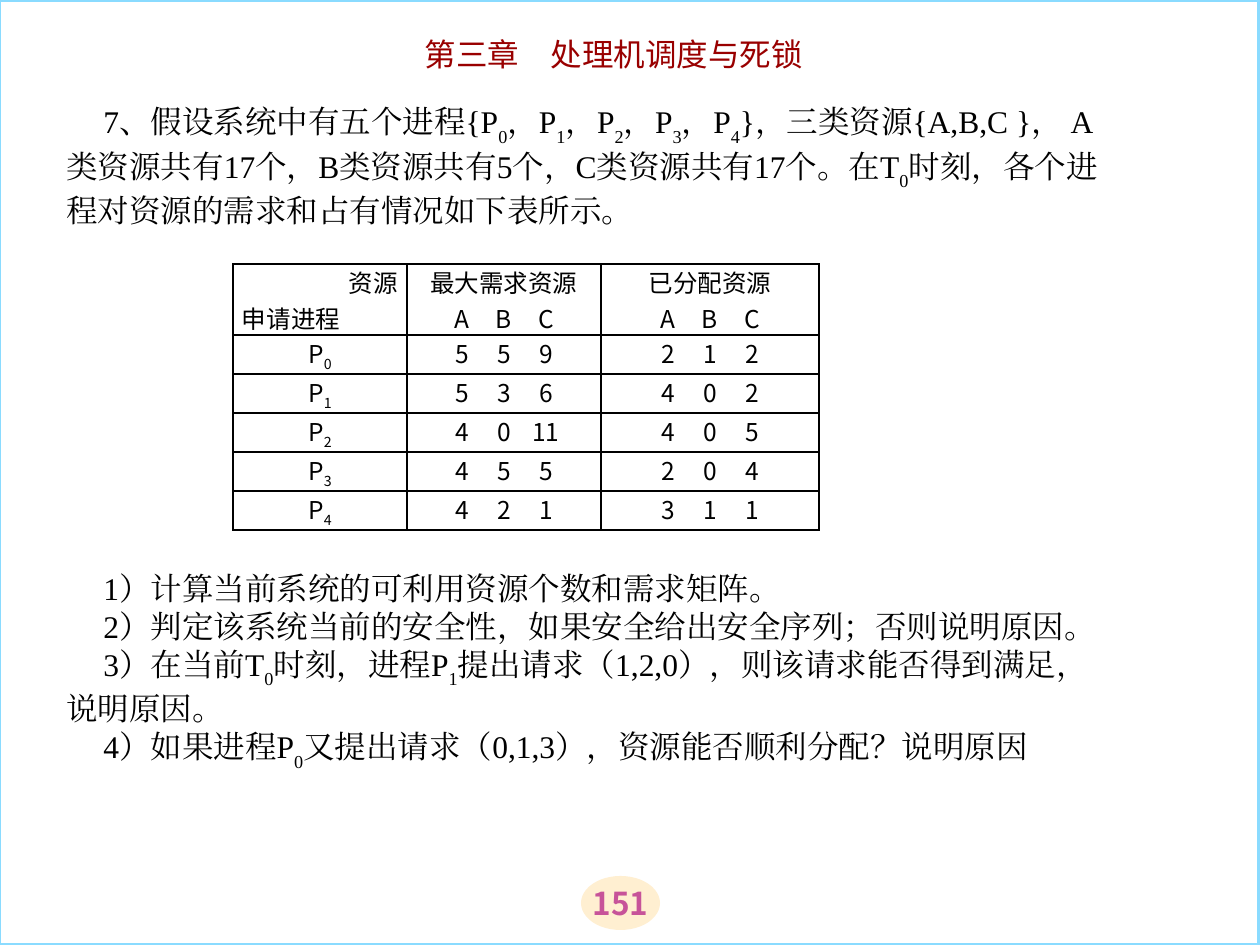
from dataclasses import dataclass

from lxml import etree
from pptx import Presentation
from pptx.dml.color import RGBColor
from pptx.enum.shapes import MSO_SHAPE
from pptx.enum.text import MSO_ANCHOR, PP_ALIGN
from pptx.oxml.ns import qn
from pptx.util import Pt

LEFT, CENTER, RIGHT = PP_ALIGN.LEFT, PP_ALIGN.CENTER, PP_ALIGN.RIGHT
TOP, MIDDLE = MSO_ANCHOR.TOP, MSO_ANCHOR.MIDDLE
OVAL, RECTANGLE = MSO_SHAPE.OVAL, MSO_SHAPE.RECTANGLE
PX_PER_INCH = 126


@dataclass(frozen=True)
class Style:
    font: str
    size: int
    color: str
    bold: bool = False
    subscript: int = -30


@dataclass(frozen=True)
class Theme:
    title: Style = Style("Noto Sans CJK JP", 18, "990000")
    body: Style = Style("Times New Roman", 18, "000000")
    table: Style = Style("Noto Sans CJK SC", 14, "000000", subscript=-25)
    number: Style = Style("Noto Sans CJK SC", 18, "C75399", bold=True)
    badge: str = "FFEFD1"
    frame: str = "8ADBFF"
    grid: str = "000000"


THEME = Theme()

INTRO = [
    "7、假设系统中有五个进程{P_0，P_1，P_2，P_3，P_4}，三类资源{A,B,C }， "
    "A类资源共有17个，B类资源共有5个，C类资源共有17个。"
    "在T_0时刻，各个进程对资源的需求和占有情况如下表所示。",
]
QUESTIONS = [
    "1）计算当前系统的可利用资源个数和需求矩阵。",
    "2）判定该系统当前的安全性，如果安全给出安全序列；否则说明原因。",
    "3）在当前T_0时刻，进程P_1提出请求（1,2,0），则该请求能否得到满足，说明原因。",
    "4）如果进程P_0又提出请求（0,1,3），资源能否顺利分配？说明原因",
]
MAX_NEED = [(5, 5, 9), (5, 3, 6), (4, 0, 11), (4, 5, 5), (4, 2, 1)]
ALLOCATED = [(2, 1, 2), (4, 0, 2), (4, 0, 5), (2, 0, 4), (3, 1, 1)]
COLUMN_WIDTHS = [174, 194, 218]
HEADER_HEIGHT, ROW_HEIGHT = 71, 39
CELL_INSET, TAB_GAP = 9, 42


def px(length):
    return round(length * 914400 / PX_PER_INCH)


def add_span(para, text, style, subscript=False):
    span = para.add_run()
    span.text = text
    font = span.font
    font.name, font.size, font.bold = style.font, Pt(style.size), style.bold
    font.color.rgb = RGBColor.from_string(style.color)
    properties = font._element
    etree.SubElement(properties, qn("a:ea"), typeface=style.font)
    if subscript:
        properties.set("baseline", str(style.subscript * 1000))


def write(para, text, style, align=LEFT):
    """Add text run by run; the character after each underscore is a subscript."""
    para.alignment = align
    first, *others = text.split("_")
    add_span(para, first, style)
    for part in others:
        add_span(para, part[0], style, subscript=True)
        if part[1:]:
            add_span(para, part[1:], style)


def next_para(frame, index):
    return frame.paragraphs[0] if index == 0 else frame.add_paragraph()


def add_text(page, area, lines, style, align=LEFT, indent=0):
    frame = page.shapes.add_textbox(*map(px, area)).text_frame
    frame.word_wrap = True
    for index, line in enumerate(lines):
        para = next_para(frame, index)
        write(para, line, style, align)
        if indent:
            properties = para._p.get_or_add_pPr()
            properties.set("marL", "0")
            properties.set("indent", str(px(indent)))


def add_figure(page, kind, area, fill=None, line=None):
    box = page.shapes.add_shape(kind, *map(px, area))
    box.shadow.inherit = False
    if fill:
        box.fill.solid()
        box.fill.fore_color.rgb = RGBColor.from_string(fill)
    else:
        box.fill.background()
    if line:
        box.line.color.rgb = RGBColor.from_string(line)
        box.line.width = Pt(2.25)
    else:
        box.line.fill.background()
    return box


def set_borders(cell, color):
    properties = cell._tc.get_or_add_tcPr()
    for index, side in enumerate(("lnL", "lnR", "lnT", "lnB")):
        line = etree.Element(qn(f"a:{side}"), w=str(Pt(1)))
        fill = etree.SubElement(line, qn("a:solidFill"))
        etree.SubElement(fill, qn("a:srgbClr"), val=color)
        properties.insert(index, line)


def set_tabs(para, width):
    """Three centred tab stops around the middle of a column."""
    tabs = etree.SubElement(para._p.get_or_add_pPr(), qn("a:tabLst"))
    middle = width // 2 - CELL_INSET
    for step in (-1, 0, 1):
        position = px(middle + step * TAB_GAP)
        etree.SubElement(tabs, qn("a:tab"), pos=str(position), algn="ctr")


def fill_cell(cell, lines, width):
    cell.fill.background()
    set_borders(cell, THEME.grid)
    cell.margin_left = cell.margin_right = px(CELL_INSET)
    cell.margin_top = cell.margin_bottom = 0
    cell.vertical_anchor = TOP
    for index, (text, align) in enumerate(lines):
        para = next_para(cell.text_frame, index)
        write(para, text, THEME.table, align)
        if "\t" in text:
            set_tabs(para, width)


def triple(values):
    return "".join(f"\t{value}" for value in values), LEFT


def add_resource_table(page, left, top):
    rows = [[
        [("资源", RIGHT), ("申请进程", LEFT)],
        [("最大需求资源", CENTER), triple("ABC")],
        [("已分配资源", CENTER), triple("ABC")],
    ]]
    for index, (need, held) in enumerate(zip(MAX_NEED, ALLOCATED)):
        rows.append([[(f"P_{index}", CENTER)], [triple(need)], [triple(held)]])
    heights = [HEADER_HEIGHT] + [ROW_HEIGHT] * len(MAX_NEED)
    area = (left, top, sum(COLUMN_WIDTHS), sum(heights))
    table = page.shapes.add_table(len(rows), len(COLUMN_WIDTHS), *map(px, area)).table
    table.first_row = table.horz_banding = False
    for column, width in zip(table.columns, COLUMN_WIDTHS):
        column.width = px(width)
    for row, height, contents in zip(table.rows, heights, rows):
        row.height = px(height)
        for cell, lines, width in zip(row.cells, contents, COLUMN_WIDTHS):
            fill_cell(cell, lines, width)


def add_page_number(page, number):
    badge = add_figure(page, OVAL, (581, 876, 79, 54), fill=THEME.badge)
    frame = badge.text_frame
    frame.margin_left = frame.margin_right = frame.margin_top = frame.margin_bottom = 0
    frame.vertical_anchor = MIDDLE
    frame.word_wrap = False
    write(frame.paragraphs[0], number, THEME.number, CENTER)


def main():
    deck = Presentation()
    deck.slide_width, deck.slide_height = px(1260), px(945)
    page = deck.slides.add_slide(deck.slide_layouts[6])

    # Page furniture
    add_page_number(page, "151")
    add_figure(page, RECTANGLE, (-1, 0, 1260, 945), line=THEME.frame)
    add_text(page, (262, 29, 704, 50), ["第三章　处理机调度与死锁"], THEME.title, CENTER)

    # Exercise: conditions, resource table, questions
    add_text(page, (54, 96, 1071, 150), INTRO, THEME.body, indent=37)
    add_resource_table(page, 233, 264)
    add_text(page, (54, 563, 1071, 267), QUESTIONS, THEME.body, indent=37)

    deck.save("out.pptx")


if __name__ == "__main__":
    main()
